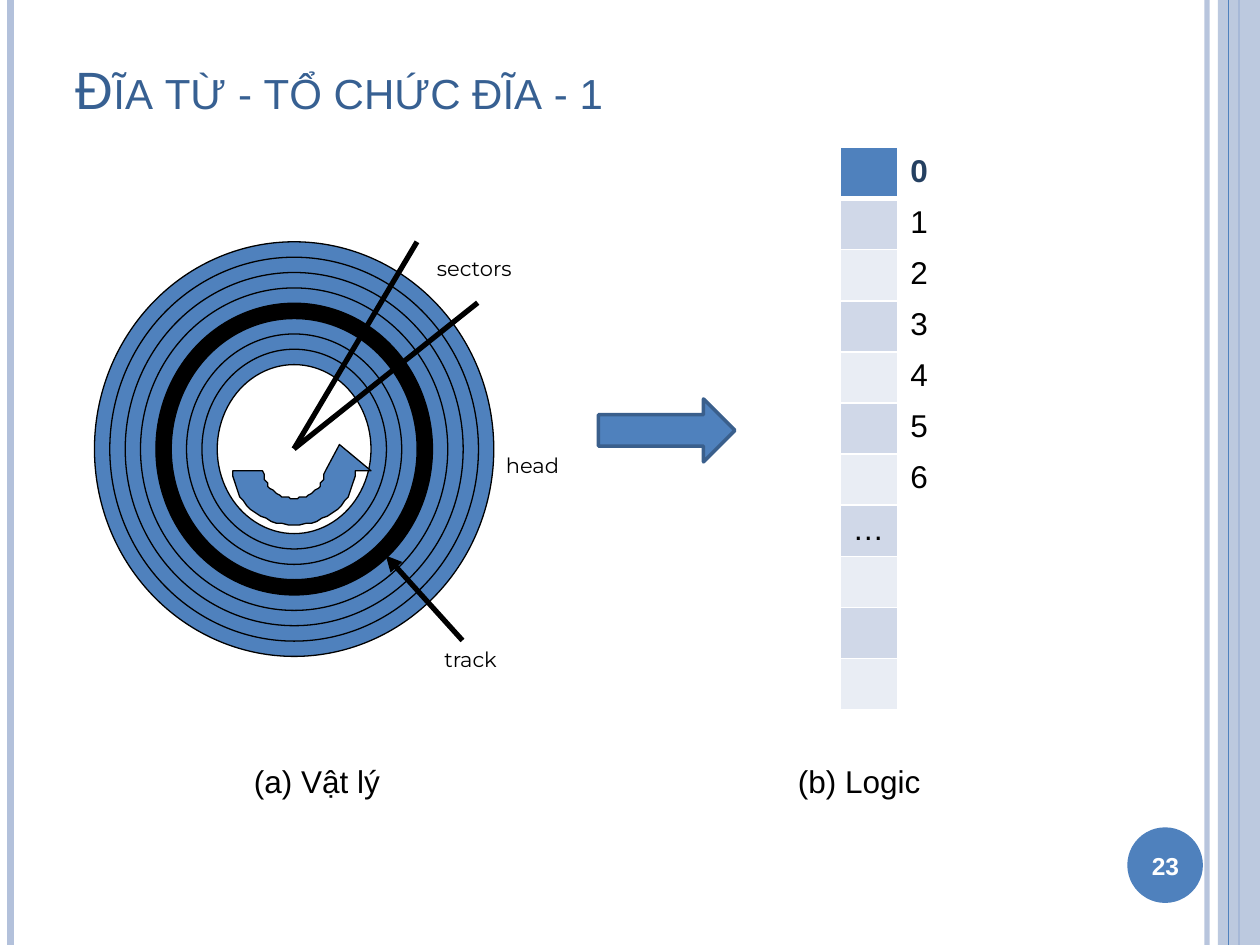
from math import cos, pi, sin

from lxml import etree
from pptx import Presentation
from pptx.dml.color import RGBColor
from pptx.enum.shapes import MSO_CONNECTOR, MSO_SHAPE
from pptx.enum.text import MSO_ANCHOR, MSO_AUTO_SIZE, PP_ALIGN
from pptx.oxml.ns import qn
from pptx.util import Pt

LINE = MSO_CONNECTOR.STRAIGHT
OVAL, RECT, ARROW = MSO_SHAPE.OVAL, MSO_SHAPE.RECTANGLE, MSO_SHAPE.RIGHT_ARROW
LEFT, CENTER = PP_ALIGN.LEFT, PP_ALIGN.CENTER
TOP, MIDDLE, BOTTOM = MSO_ANCHOR.TOP, MSO_ANCHOR.MIDDLE, MSO_ANCHOR.BOTTOM
FIXED = MSO_AUTO_SIZE.NONE

BLACK = RGBColor(0, 0, 0)
WHITE = RGBColor(255, 255, 255)
BLUE = RGBColor(0x4F, 0x81, 0xBD)
EDGE = RGBColor(0x3A, 0x5F, 0x8C)
PALE = RGBColor(0xB3, 0xC1, 0xDB)
INK = RGBColor(0x37, 0x60, 0x92)
NAVY = RGBColor(0x25, 0x40, 0x61)
BANDS = (RGBColor(0xE9, 0xED, 0xF4), RGBColor(0xD0, 0xD8, 0xE8))

RINGS, STEP, TRACK = 9, 8.77, 4
BLOCKS = ("0", "1", "2", "3", "4", "5", "6", "…", "", "", "")
HUB = (168, 256.5)


def box(*sizes):
    """Turn numbers into point lengths."""
    return [Pt(size) for size in sizes]


def fade(fill, alpha):
    """Make a solid colour partly clear."""
    tone = fill._xPr.find(".//" + qn("a:srgbClr"))
    etree.SubElement(tone, qn("a:alpha"), val=str(alpha * 1000))


def write(frame, text, size=18, font="Arial", color=BLACK, bold=False,
          align=LEFT, anchor=TOP, small=False):
    """Put one formatted run in a text frame."""
    frame.vertical_anchor = anchor
    para = frame.paragraphs[0]
    para.alignment = align
    run = para.add_run()
    run.text = text
    run.font.size, run.font.name, run.font.bold = Pt(size), font, bold
    run.font.color.rgb = color
    if small:
        run._r.get_or_add_rPr().set("cap", "small")


def label(shapes, text, area, wrap=True, **style):
    """Add a text box."""
    frame = shapes.add_textbox(*box(*area)).text_frame
    frame.word_wrap = wrap
    write(frame, text, **style)


def paint(shape, fill, line=None, width=0.75):
    """Set the fill and outline of a shape."""
    shape.shadow.inherit = False
    shape.fill.solid()
    shape.fill.fore_color.rgb = fill
    if line is None:
        shape.line.fill.background()
    else:
        shape.line.color.rgb = line
        shape.line.width = Pt(width)
    return shape


def stroke(shapes, start, end, color=BLACK, width=3, tip=False):
    """Add a straight line, with an arrowhead if asked."""
    line = shapes.add_connector(LINE, *box(*start, *end))
    line.line.color.rgb = color
    line.line.width = Pt(width)
    if tip:
        etree.SubElement(line.line._get_or_add_ln(), qn("a:tailEnd"), type="triangle")
    etree.SubElement(line._element.spPr, qn("a:effectLst"))
    return line


def frame_page(shapes):
    """Draw the side stripes and the page number."""
    rule = stroke(shapes, (689.8, 0), (689.8, 540), PALE, 3)
    fade(rule.line.fill, 93)
    stroke(shapes, (6, 0), (6, 540), PALE, 4.5)
    stroke(shapes, (708, 0), (708, 540), BLUE, 1.5)
    stripe = paint(shapes.add_shape(RECT, *box(696, 0, 24, 540)), PALE)
    fade(stripe.fill, 87)
    stroke(shapes, (702, 0), (702, 540), BLUE, 0.75)
    paint(shapes.add_shape(OVAL, *box(644.2, 472.8, 43.2, 43.2)), BLUE)
    label(shapes, "23", (642, 474.5, 48, 41), size=14, color=WHITE,
          bold=True, align=CENTER, anchor=MIDDLE)


def spin(shapes):
    """Draw the curved arrow that shows the disk turning."""
    x, y, count = HUB[0], 269, 32
    turns = [pi * i / count for i in range(count + 1)]
    outer = [(x - 34.9 * cos(t), y + 31 * sin(t)) for t in turns]
    inner = [(x + 17.5 * cos(t), y + 15.8 * sin(t)) for t in turns]
    head = [(x + 43.7, y), (x + 26.2, y - 15), (x + 17.5, y)]
    points = outer + head + inner
    path = shapes.build_freeform(*points[0], scale=Pt(1))
    path.add_line_segments(points[1:], close=True)
    paint(path.convert_to_shape(), BLUE, BLACK)


def disk(shapes):
    """Draw the disk with its tracks, sectors and labels."""
    for i in range(RINGS):
        inset = i * STEP
        area = (54 + inset, 138.2 + inset, 228.2 - 2 * inset, 236.9 - 2 * inset)
        fill = {TRACK: BLACK, RINGS - 1: WHITE}.get(i, BLUE)
        paint(shapes.add_shape(OVAL, *box(*area)), fill, BLACK)
    spin(shapes)
    stroke(shapes, (264.3, 366), (220.5, 317.5), tip=True)
    for end in ((238.3, 138.2), (273, 173)):
        stroke(shapes, HUB, end)
    for text, area in (("head", (282, 255, 54, 21.6)),
                       ("track", (246.8, 366, 72, 21.6)),
                       ("sectors", (242.6, 142.6, 99.4, 21.6))):
        label(shapes, text, area, size=12, font="Montserrat")


def border(cell, low):
    """Give a cell white borders, with its own bottom width."""
    props = cell._tc.get_or_add_tcPr()
    for i, side in enumerate(("lnL", "lnR", "lnT", "lnB")):
        width = low if side == "lnB" else 1
        line = etree.Element(qn("a:" + side), w=str(Pt(width)))
        fill = etree.SubElement(line, qn("a:solidFill"))
        etree.SubElement(fill, qn("a:srgbClr"), val=str(WHITE))
        props.insert(i, line)


def blocks(shapes):
    """Build the column of logical blocks."""
    rows = len(BLOCKS)
    table = shapes.add_table(rows, 2, *box(480, 84.3, 66.2, 29.2 * rows)).table
    table.first_row = table.horz_banding = False
    for col in table.columns:
        col.width = Pt(33.1)
    for i, text in enumerate(BLOCKS):
        table.rows[i].height = Pt(29.2)
        bar, tag = table.cell(i, 0), table.cell(i, 1)
        bar.fill.solid()
        bar.fill.fore_color.rgb = BANDS[i % 2] if i else BLUE
        tag.fill.background()
        for cell in (bar, tag):
            border(cell, 1 if i else 3)
        if text:
            write((bar if text == "…" else tag).text_frame, text,
                  color=BLACK if i else NAVY, bold=i == 0)


def main():
    """Build the slide and save it."""
    deck = Presentation()
    deck.slide_width, deck.slide_height = box(720, 540)
    slide = deck.slides.add_slide(deck.slide_layouts[5])
    shapes = slide.shapes
    title = shapes.title
    title.left, title.top, title.width, title.height = box(36, 21.6, 606, 50.4)
    title.text_frame.auto_size = FIXED
    write(title.text_frame, "Đĩa từ - tổ chức đĩa - 1", size=30, color=INK,
          anchor=BOTTOM, small=True)
    frame_page(shapes)
    blocks(shapes)
    disk(shapes.add_group_shape().shapes)
    paint(shapes.add_shape(ARROW, *box(342, 228, 78, 36)), BLUE, EDGE, 2)
    label(shapes, "(a) Vật lý", (138, 432, 87, 29), wrap=False)
    label(shapes, "(b) Logic", (448.8, 432, 85, 29), wrap=False)
    deck.save("out.pptx")


if __name__ == "__main__":
    main()
